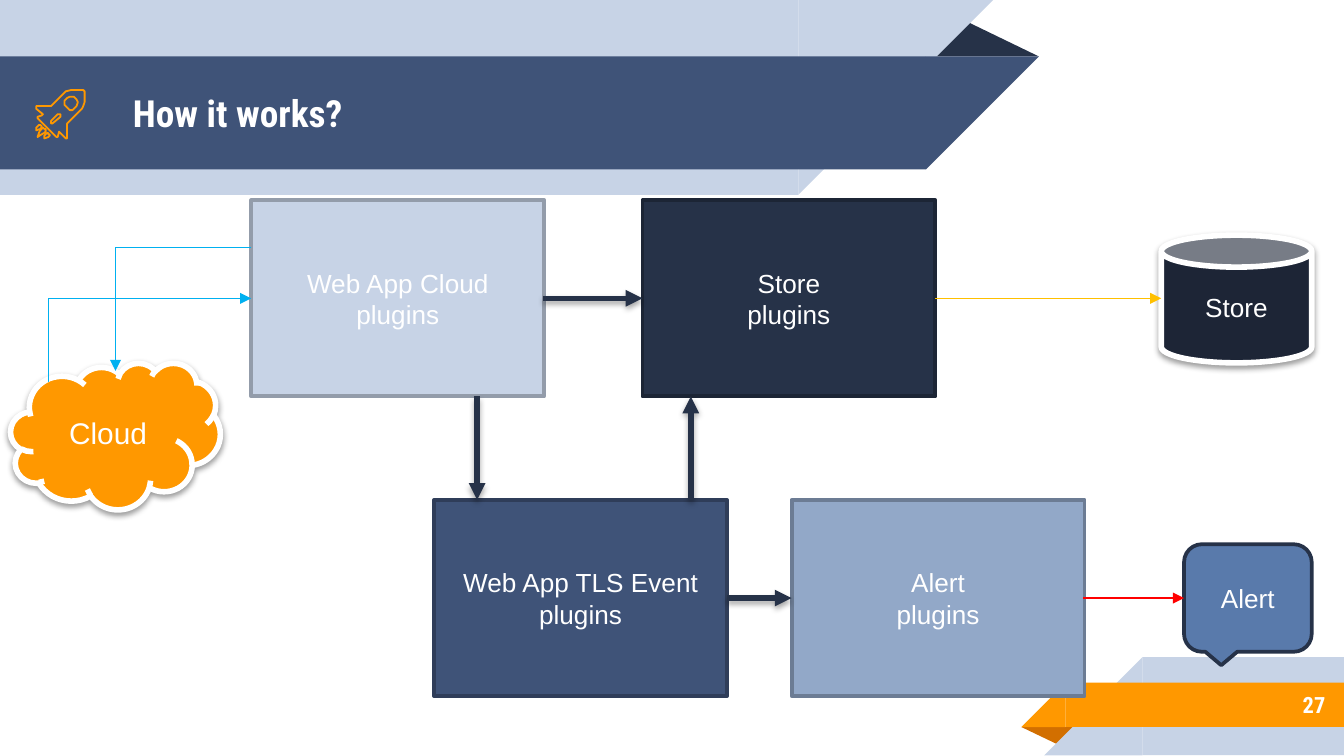
from lxml import etree
from pptx import Presentation
from pptx.dml.color import RGBColor
from pptx.enum.shapes import MSO_CONNECTOR, MSO_SHAPE
from pptx.enum.text import MSO_ANCHOR, PP_ALIGN
from pptx.oxml.ns import qn
from pptx.util import Pt

PX = 9144
RECT, CORNER, TRIANGLE = MSO_SHAPE.RECTANGLE, MSO_SHAPE.RIGHT_TRIANGLE, MSO_SHAPE.ISOSCELES_TRIANGLE
CLOUD, CAN, CALLOUT = MSO_SHAPE.CLOUD, MSO_SHAPE.CAN, MSO_SHAPE.ROUNDED_RECTANGULAR_CALLOUT
STRAIGHT, ELBOW = MSO_CONNECTOR.STRAIGHT, MSO_CONNECTOR.ELBOW
LEFT, CENTER, RIGHT = PP_ALIGN.LEFT, PP_ALIGN.CENTER, PP_ALIGN.RIGHT
MIDDLE = MSO_ANCHOR.MIDDLE

WHITE = RGBColor(0xFF, 0xFF, 0xFF)
PALE = RGBColor(0xC7, 0xD3, 0xE6)
PALE_EDGE = RGBColor(0x93, 0x9C, 0xAA)
NAVY = RGBColor(0x26, 0x32, 0x48)
NAVY_EDGE = RGBColor(0x1C, 0x25, 0x35)
NAVY_DEEP = RGBColor(0x1D, 0x25, 0x36)
SLATE = RGBColor(0x3F, 0x53, 0x78)
SLATE_EDGE = RGBColor(0x2F, 0x3D, 0x59)
STEEL = RGBColor(0x92, 0xA8, 0xC8)
STEEL_EDGE = RGBColor(0x6C, 0x7C, 0x94)
BLUE = RGBColor(0x59, 0x7A, 0xAB)
ORANGE = RGBColor(0xFF, 0x98, 0x00)
RUST = RGBColor(0xD2, 0x6F, 0x00)
CYAN = RGBColor(0x00, 0xB0, 0xF0)
AMBER = RGBColor(0xFF, 0xC0, 0x00)
RED = RGBColor(0xFF, 0x00, 0x00)

prs = Presentation()
prs.slide_width = 1000 * PX
prs.slide_height = prs.slide_width * 9 // 16
slide = prs.slides.add_slide(prs.slide_layouts[6])
shapes = slide.shapes


def add_block(kind, box, fill, edge=None, width=0, lines=(), size=14):
    block = shapes.add_shape(kind, *[length * PX for length in box])
    block.shadow.inherit = False
    block.fill.solid()
    block.fill.fore_color.rgb = fill
    if edge is None:
        block.line.fill.background()
    else:
        block.line.color.rgb = edge
        block.line.width = Pt(width)
    for index, line in enumerate(lines):
        frame = block.text_frame
        paragraph = frame.add_paragraph() if index else frame.paragraphs[0]
        paragraph.text = line
        paragraph.alignment = CENTER
        paragraph.font.name = "Arial"
        paragraph.font.size = Pt(size)
        paragraph.font.color.rgb = WHITE
    return block


def add_shadow(effects, distance, opacity):
    shadow = etree.SubElement(effects, qn("a:outerShdw"), blurRad="40000", dist=str(distance),
                              dir="5400000", rotWithShape="0")
    black = etree.SubElement(shadow, qn("a:srgbClr"), val="000000")
    etree.SubElement(black, qn("a:alpha"), val=str(opacity * 1000))


ribbons = [
    (TRIANGLE, (688, 14, 85, 28), NAVY, 0),
    (RECT, (0, 0, 594, 145), PALE, 0),
    (CORNER, (594, 0, 145, 145), PALE, 90),
    (RECT, (0, 42, 689, 84), SLATE, 0),
    (CORNER, (689, 42, 84, 84), SLATE, 90),
    (TRIANGLE, (760, 541, 43, 14), RUST, 180),
    (RECT, (850, 489, 150, 73), PALE, 0),
    (CORNER, (777, 489, 73, 73), PALE, 270),
    (RECT, (793, 508, 207, 33), ORANGE, 0),
    (CORNER, (760, 508, 33, 33), ORANGE, 270),
]
for kind, box, fill, turn in ribbons:
    ribbon = add_block(kind, box, fill)
    ribbon.rotation = turn
    if kind == TRIANGLE:
        ribbon.adjustments[0] = 0.32

headings = [
    ("How it works?", (89, 42, 575, 84), 20, LEFT),
    ("27", (833, 507, 163, 35), 12, RIGHT),
]
for wording, box, size, alignment in headings:
    frame = shapes.add_textbox(*[length * PX for length in box]).text_frame
    frame.word_wrap = True
    frame.vertical_anchor = MIDDLE
    frame.margin_left = frame.margin_right = frame.margin_top = frame.margin_bottom = 10 * PX
    paragraph = frame.paragraphs[0]
    paragraph.text = wording
    paragraph.alignment = alignment
    paragraph.font.name = "Roboto Condensed"
    paragraph.font.size = Pt(size)
    paragraph.font.bold = True
    paragraph.font.color.rgb = WHITE

plugins = [
    ("Web App Cloud", 187, 149, PALE, PALE_EDGE),
    ("Store", 478, 149, NAVY, NAVY_EDGE),
    ("Web App TLS Event", 323, 372, SLATE, SLATE_EDGE),
    ("Alert", 589, 372, STEEL, STEEL_EDGE),
]
for label, left, top, fill, edge in plugins:
    add_block(RECT, (left, top, 218, 146), fill, edge, 2, (label, "plugins"))

cloud = add_block(CLOUD, (8, 270, 156, 109), ORANGE, WHITE, 3, ("Cloud",), 16)
store = add_block(CAN, (864, 175, 112, 95), NAVY_DEEP, WHITE, 3, ("Store",))
for endpoint in (cloud, store):
    add_shadow(endpoint.element.spPr.find(qn("a:effectLst")), 20000, 38)
add_block(CALLOUT, (881, 405, 95, 80), BLUE, NAVY, 2, ("Alert",))

flows = [
    (STRAIGHT, (404, 222, 478, 222), NAVY, 3, "a:tailEnd"),
    (STRAIGHT, (355, 295, 355, 372), NAVY, 3, "a:tailEnd"),
    (STRAIGHT, (514, 372, 514, 295), NAVY, 3, "a:tailEnd"),
    (STRAIGHT, (541, 445, 589, 445), NAVY, 3, "a:tailEnd"),
    (ELBOW, (187, 184, 86, 276), CYAN, 0.75, "a:tailEnd"),
    (ELBOW, (187, 222, 36, 284), CYAN, 0.75, "a:headEnd"),
    (STRAIGHT, (696, 222, 864, 222), AMBER, 0.75, "a:tailEnd"),
    (STRAIGHT, (806, 445, 881, 445), RED, 0.75, "a:tailEnd"),
]
for kind, ends, color, width, arrow_end in flows:
    flow = shapes.add_connector(kind, *[length * PX for length in ends])
    flow.line.color.rgb = color
    flow.line.width = Pt(width)
    properties = flow.element.spPr
    etree.SubElement(properties.get_or_add_ln(), qn(arrow_end), type="triangle")
    effects = etree.SubElement(properties, qn("a:effectLst"))
    if width == 3:
        add_shadow(effects, 23000, 35)
    if kind == ELBOW:
        geometry = properties.find(qn("a:prstGeom"))
        if arrow_end == "a:tailEnd":
            geometry.set("prst", "bentConnector2")
        else:
            etree.SubElement(geometry.find(qn("a:avLst")), qn("a:gd"), name="adj1", fmla="val 99900")

hull = [(50, 102), (50, 92), (61, 81), (62, 79), (63, 76), (63, 68), (62, 67), (58, 67), (53, 67),
        (49, 68), (48, 69), (38, 79), (27, 79), (27, 81), (32, 85), (31, 86), (28, 87), (28, 88),
        (42, 102), (43, 102), (44, 98), (49, 103), (50, 103)]
slot = [(39, 92), (38, 92), (38, 90), (43, 85), (45, 85), (45, 87)]
window = [(54, 82), (52, 82), (48, 78), (48, 75), (50, 73), (52, 72), (55, 72), (57, 74), (58, 76),
          (57, 79), (56, 80)]
middle_flame = [(34, 96), (33, 96), (32, 95), (31, 96), (30, 97), (29, 99), (28, 102), (31, 100),
                (33, 99), (34, 98)]
right_flame = [(36, 100), (36, 99), (35, 99), (34, 100), (33, 101), (33, 103), (36, 102), (37, 101),
               (37, 100)]
left_flame = [(30, 93), (29, 93), (28, 94), (27, 95), (27, 97), (30, 96), (31, 95), (31, 94)]
for outlines in ([hull, slot, window], [middle_flame], [right_flame], [left_flame]):
    builder = shapes.build_freeform(*outlines[0][0], scale=PX)
    for outline in outlines:
        builder.move_to(*outline[0])
        builder.add_line_segments(outline[1:], close=True)
    rocket_part = builder.convert_to_shape()
    rocket_part.shadow.inherit = False
    rocket_part.fill.background()
    rocket_part.line.color.rgb = ORANGE
    rocket_part.line.width = Pt(0.96)

prs.save("out.pptx")
